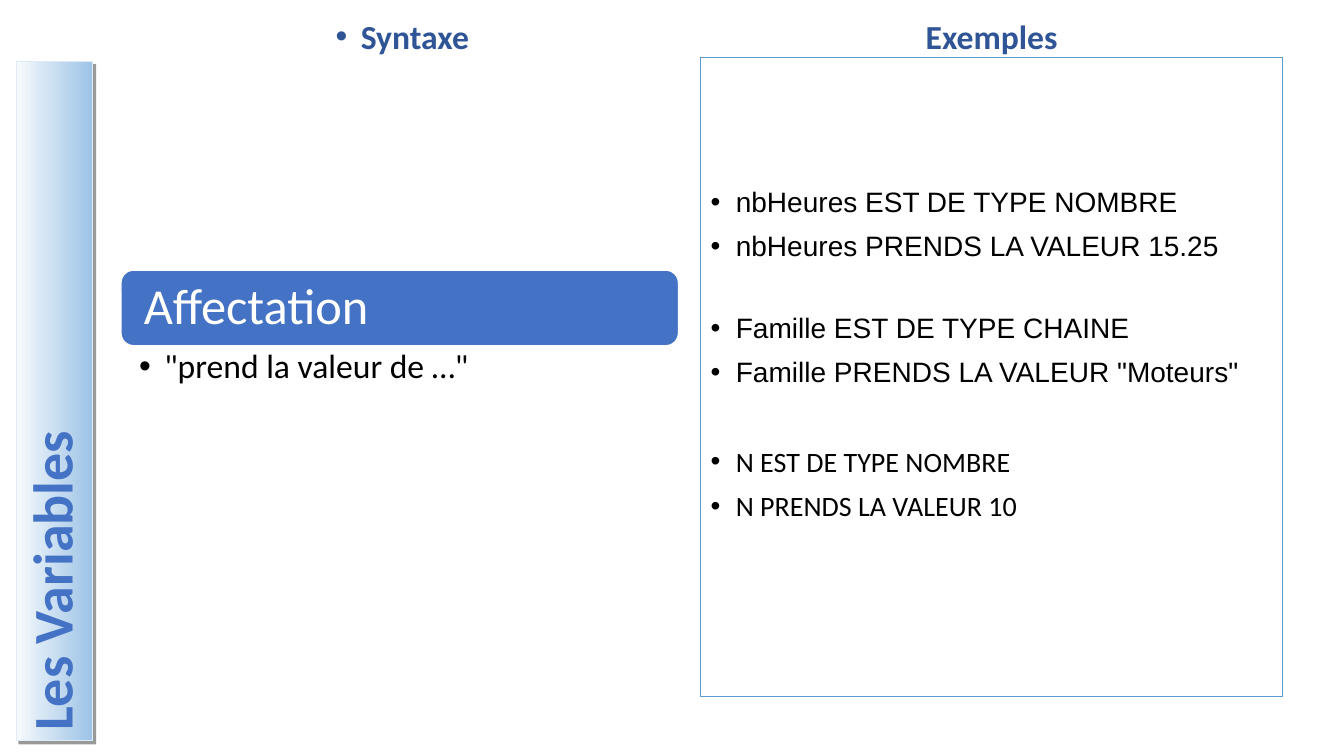
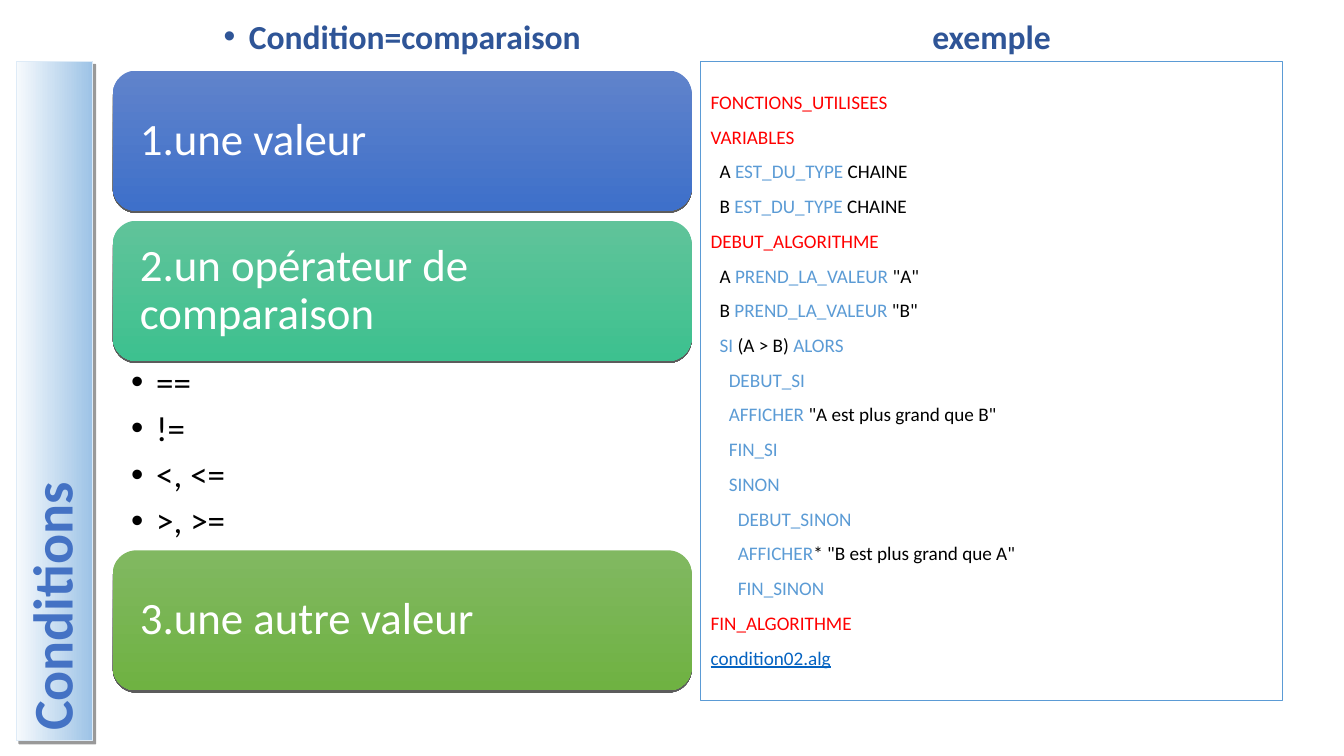
from lxml import etree
from pptx import Presentation
from pptx import util as u
from pptx.dml.color import RGBColor
from pptx.enum import shapes, text
from pptx.oxml import ns

PX = 9144  # 100 px to the inch
BLACK, WHITE, NAVY, BLUE = "000000", "FFFFFF", "2F5597", "4472C4"
SKY, RED, LINK = "5B9BD5", "FF0000", "0563C1"
LEFT, WIDE = 112, 574
RIGHT, SPAN = 695, 577

# each line: text, space before (pt), font
USES = [
    ("nbHeures EST DE TYPE NOMBRE", 10, "Arial"),
    ("nbHeures PRENDS LA VALEUR 15.25", 10, "Arial"),
    ("Famille EST DE TYPE CHAINE", 37, "Arial"),
    ("Famille PRENDS LA VALEUR \"Moteurs\"", 10, "Arial"),
    ("N EST DE TYPE NOMBRE", 42, "Calibri"),
    ("N PRENDS LA VALEUR 10", 10, "Calibri"),
]
# each line: level, then runs of text and colour
CODE = [
    (0, ("FONCTIONS_UTILISEES", RED)),
    (0, ("VARIABLES", RED)),
    (1, ("A ", BLACK), ("EST_DU_TYPE", SKY), (" CHAINE", BLACK)),
    (1, ("B ", BLACK), ("EST_DU_TYPE", SKY), (" CHAINE", BLACK)),
    (0, ("DEBUT_ALGORITHME", RED)),
    (1, ("A ", BLACK), ("PREND_LA_VALEUR", SKY), (" \"A\"", BLACK)),
    (1, ("B ", BLACK), ("PREND_LA_VALEUR", SKY), (" \"B\"", BLACK)),
    (1, ("SI", SKY), (" (A > B) ", BLACK), ("ALORS", SKY)),
    (2, ("DEBUT_SI", SKY)),
    (2, ("AFFICHER", SKY), (" \"A est plus grand que B\"", BLACK)),
    (2, ("FIN_SI", SKY)),
    (2, ("SINON", SKY)),
    (3, ("DEBUT_SINON", SKY)),
    (3, ("AFFICHER", SKY), ("* \"B est plus grand que A\"", BLACK)),
    (3, ("FIN_SINON", SKY)),
    (0, ("FIN_ALGORITHME", RED)),
    (0, ("condition02.alg", LINK)),
]
# each step: title, gradient, bullets below
STEPS = [
    ("1.une valeur", ("6083CB", "3E70CA"), []),
    ("2.un opérateur de comparaison", ("60C39A", "3DC18F"),
     ["==", "!=", "<, <=", ">, >="]),
    ("3.une autre valeur", ("81B861", "6FB242"), []),
]


def rgb(hue):
    return RGBColor.from_string(hue)


def add(parent, tag, **attrs):
    node = etree.SubElement(parent, ns.qn(tag))
    for key, val in attrs.items():
        node.set(key, str(val))
    return node


def shape(slide, kind, box, fill=None, line=None, weight=0.75):
    """Add a shape; fill is a colour, or a pair of colours with an angle."""
    item = slide.shapes.add_shape(kind, *[v * PX for v in box])
    item.shadow.inherit = False
    if fill is None:
        item.fill.background()
    elif isinstance(fill, str):
        item.fill.solid()
        item.fill.fore_color.rgb = rgb(fill)
    else:
        item.fill.gradient()
        item.fill.gradient_angle = fill[2]
        for stop, hue in zip(item.fill.gradient_stops, fill):
            stop.color.rgb = rgb(hue)
    if line:
        item.line.color.rgb = rgb(line)
        item.line.width = u.Pt(weight)
    else:
        item.line.fill.background()
    return item


def shade(item, dist, angle, alpha):
    glow = item._element.spPr.find(ns.qn("a:effectLst"))
    drop = add(glow, "a:outerShdw", blurRad=0, dist=u.Pt(dist),
               dir=angle * 60000, algn="ctr", rotWithShape=0)
    add(add(drop, "a:srgbClr", val=BLACK), "a:alpha", val=alpha * 1000)


def frame(item, ins, anchor):
    tf = item.text_frame
    tf.word_wrap = True
    tf.vertical_anchor = anchor
    (tf.margin_left, tf.margin_top,
     tf.margin_right, tf.margin_bottom) = [v * PX for v in ins]
    return tf


def para(tf, runs, size, hue=BLACK, face="Calibri", bold=False, before=0,
         after=0, bullet=False, indent=0, align=text.PP_ALIGN.LEFT):
    """Append a paragraph; runs is a string or pairs of text and colour."""
    p = tf.paragraphs[0]
    if p.runs:
        p = tf.add_paragraph()
    p.alignment = align
    p.line_spacing = 0.9
    p.space_before, p.space_after = u.Pt(before), u.Pt(after)
    props = p._p.get_or_add_pPr()
    props.set("marL", str((25 if bullet else indent) * PX))
    props.set("indent", str(-25 * PX if bullet else 0))
    if bullet:
        add(add(props, "a:buClr"), "a:srgbClr", val=hue)
        add(props, "a:buFont", typeface="Arial")
        add(props, "a:buChar", char="•")
    p.font.size, p.font.name, p.font.bold = u.Pt(size), face, bold
    if isinstance(runs, str):
        runs = [(runs, hue)]
    for words, tint in runs:
        run = p.add_run()
        run.text = words
        run.font.color.rgb = rgb(tint)
        if tint == LINK:
            run.font.underline = True


def base(deck, title, heads):
    """Add a slide with its side band and two column headings."""
    slide = deck.slides.add_slide(deck.slide_layouts[6])
    band = shape(slide, shapes.MSO_SHAPE.RECTANGLE, (16, 61, 76, 674),
                 ("F7FAFD", "9DC3E6", 0), "DEEBF7")
    shade(band, 3, 45, 40)
    tf = frame(band, (5, 10, 5, 10), text.MSO_ANCHOR.MIDDLE)
    tf._txBody.bodyPr.set("vert", "vert270")
    para(tf, title, 40, BLUE, bold=True)
    cols = ((LEFT, WIDE, True), (RIGHT, SPAN, False))
    for head, (x, w, bullet) in zip(heads, cols):
        box = slide.shapes.add_textbox(x * PX, 10 * PX, w * PX, 51 * PX)
        tf = frame(box, (10, 5, 10, 5), text.MSO_ANCHOR.BOTTOM)
        para(tf, head, 24, NAVY, bold=True, before=10, bullet=bullet,
             align=text.PP_ALIGN.CENTER)
    return slide


def card(slide, box, fill, title, size, pad, line=None):
    item = shape(slide, shapes.MSO_SHAPE.ROUNDED_RECTANGLE, box, fill, line, 1)
    tf = frame(item, [pad] * 4, text.MSO_ANCHOR.MIDDLE)
    para(tf, title, size, WHITE)
    return item


def points(slide, box, lines, size, ins):
    item = slide.shapes.add_textbox(*[v * PX for v in box])
    tf = frame(item, ins, text.MSO_ANCHOR.TOP)
    for line in lines:
        para(tf, line, size, after=6, bullet=True)


def panel(slide, top, foot=5):
    item = shape(slide, shapes.MSO_SHAPE.RECTANGLE, (RIGHT, top, SPAN, 634),
                 line=SKY)
    return frame(item, (10, 5, 10, foot), text.MSO_ANCHOR.MIDDLE)


def variables(deck):
    slide = base(deck, "Les Variables", ("Syntaxe", "Exemples"))
    card(slide, (120, 268, 553, 75), BLUE, "Affectation", 36, 19, WHITE)
    points(slide, (120, 344, 553, 116), ["\"prend la valeur de …\""], 24,
           (18, 3, 19, 3))
    tf = panel(slide, 57, 48)
    for words, gap, face in USES:
        para(tf, words, 20, face=face, before=gap, bullet=True)


def conditions(deck):
    slide = base(deck, "Conditions", ("Condition=comparaison", "exemple"))
    y, tall, gap, room = 70, 139, 10, 188
    for title, hues, lines in STEPS:
        item = card(slide, (LEFT, y, WIDE, tall), (*hues, 270), title, 32, 20)
        shade(item, 1.5, 90, 63)
        y += tall
        if lines:
            points(slide, (LEFT, y, WIDE, room), lines, 25, (18, 4, 25, 4))
            y += room
        else:
            y += gap
    tf = panel(slide, 61)
    for level, *runs in CODE:
        para(tf, runs, 13.7, before=10, indent=level * 9)


def main():
    deck = Presentation()
    deck.slide_width, deck.slide_height = 1333 * PX, 750 * PX
    variables(deck)
    conditions(deck)
    deck.save("out.pptx")


if __name__ == "__main__":
    main()
